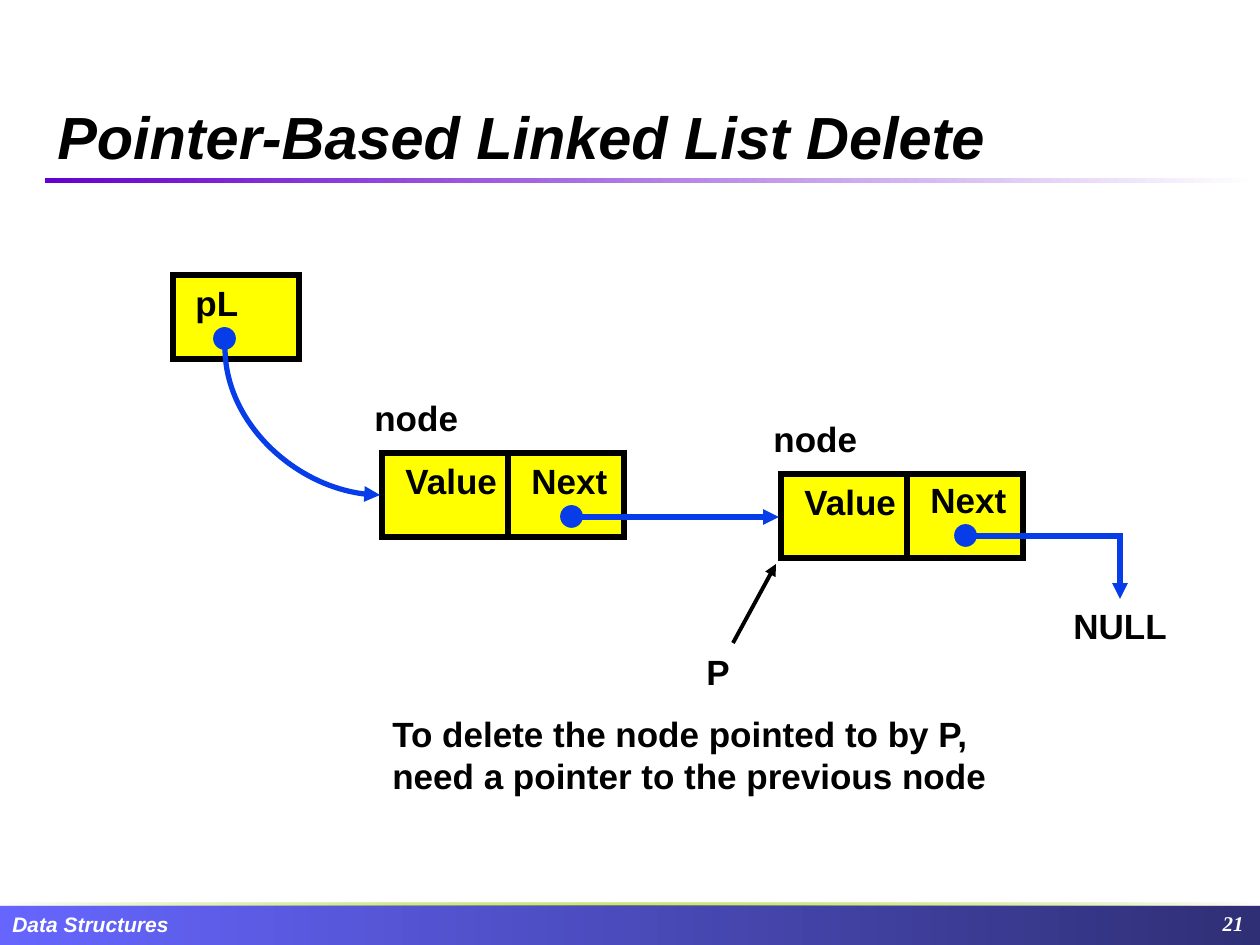
from copy import deepcopy
from dataclasses import dataclass

from lxml import etree
from pptx import Presentation
from pptx.dml.color import RGBColor
from pptx.enum.shapes import MSO_CONNECTOR, MSO_SHAPE
from pptx.enum.text import MSO_ANCHOR, MSO_AUTO_SIZE, PP_ALIGN
from pptx.oxml.ns import qn
from pptx.util import Emu, Pt

RECTANGLE, OVAL = MSO_SHAPE.RECTANGLE, MSO_SHAPE.OVAL
STRAIGHT, ELBOW, CURVE = MSO_CONNECTOR.STRAIGHT, MSO_CONNECTOR.ELBOW, MSO_CONNECTOR.CURVE
TOP, BOTTOM = MSO_ANCHOR.TOP, MSO_ANCHOR.BOTTOM
LEFT, RIGHT = PP_ALIGN.LEFT, PP_ALIGN.RIGHT
FIXED, GROW = MSO_AUTO_SIZE.NONE, MSO_AUTO_SIZE.SHAPE_TO_FIT_TEXT

BLACK = RGBColor(0x00, 0x00, 0x00)
WHITE = RGBColor(0xFF, 0xFF, 0xFF)
YELLOW = RGBColor(0xFF, 0xFF, 0x00)
BLUE = RGBColor(0x06, 0x3D, 0xE8)
PURPLE = RGBColor(0x66, 0x00, 0xCC)
LIME = RGBColor(0x99, 0xCC, 0x00)
PERIWINKLE = RGBColor(0x66, 0x66, 0xFF)
NAVY = RGBColor(0x2F, 0x2F, 0x76)

EMU_PER_PX = 914400 / 126
CELL_HEIGHT, VALUE_WIDTH, NEXT_WIDTH = 84, 126, 116
DOT_SIZE = 21
LABEL_HEIGHT = 55

LABEL_FORMAT = {"name": "Arial", "size": Pt(20), "bold": True}
TITLE_FORMAT = {"name": "Arial", "size": Pt(34), "bold": True, "italic": True}
FOOTER_FORMAT = TITLE_FORMAT | {"size": Pt(12)}
NUMBER_FORMAT = FOOTER_FORMAT | {"name": "Times New Roman"}


@dataclass(frozen=True)
class Box:
    left: int
    top: int
    width: int
    height: int

    def emu(self) -> list[Emu]:
        return [px(value) for value in (self.left, self.top, self.width, self.height)]


@dataclass(frozen=True)
class Node:
    left: int
    top: int
    next_rise: int
    dot_left: int
    dot_top: int


@dataclass(frozen=True)
class Label:
    text: str
    left: int
    top: int
    width: int
    height: int = LABEL_HEIGHT


NODES = [Node(781, 474, 2, 955, 525), Node(382, 453, 0, 561, 506)]
LABELS = [
    Label("pL", 183, 275, 68),
    Label("P", 694, 644, 48),
    Label("NULL", 1061, 598, 119),
    Label("To delete the node pointed to by P,\nneed a pointer to the previous node",
          380, 706, 620, 97),
]


def px(value: int) -> Emu:
    return Emu(round(value * EMU_PER_PX))


def add_shape(slide, kind, box: Box):
    shape = slide.shapes.add_shape(kind, *box.emu())
    shape.shadow.inherit = False
    return shape


def set_line(shape, color: RGBColor, weight: float):
    shape.line.color.rgb = color
    shape.line.width = Pt(weight)
    line = shape._element.spPr.find(qn("a:ln"))
    etree.SubElement(line, qn("a:miter"), lim="800000")
    return line


def add_solid(slide, kind, box: Box, fill: RGBColor, line: RGBColor, weight: float) -> None:
    shape = add_shape(slide, kind, box)
    shape.fill.solid()
    shape.fill.fore_color.rgb = fill
    set_line(shape, line, weight)


def add_gradient(slide, box: Box, colors: list[RGBColor]):
    shape = add_shape(slide, RECTANGLE, box)
    shape.line.fill.background()
    shape.fill.gradient()
    shape.fill.gradient_angle = 0
    stop_list = shape._element.spPr.find(".//" + qn("a:gsLst"))
    for _ in colors[2:]:
        stop_list.append(deepcopy(stop_list[0]))
    for index, (stop, color) in enumerate(zip(shape.fill.gradient_stops, colors)):
        stop.color.rgb = color
        stop.position = index / (len(colors) - 1)
    return stop_list


def add_text(slide, box: Box, text: str, text_format: dict, color: RGBColor = BLACK,
             wrap: bool = True, anchor=TOP, align=LEFT, auto_size=FIXED) -> None:
    frame = slide.shapes.add_textbox(*box.emu()).text_frame
    frame.word_wrap = wrap
    frame.auto_size = auto_size
    frame.vertical_anchor = anchor
    frame.text = text
    for paragraph in frame.paragraphs:
        paragraph.alignment = align
        for name, value in text_format.items():
            setattr(paragraph.font, name, value)
        paragraph.font.color.rgb = color


def add_label(slide, label: Label) -> None:
    box = Box(label.left, label.top, label.width, label.height)
    add_text(slide, box, label.text, LABEL_FORMAT, wrap=False, auto_size=GROW)


def add_arrow(slide, kind, start: tuple[int, int], end: tuple[int, int],
              color: RGBColor = BLUE, weight: float = 3):
    connector = slide.shapes.add_connector(kind, *map(px, start + end))
    line = set_line(connector, color, weight)
    etree.SubElement(line, qn("a:tailEnd"), type="triangle")
    properties = connector._element.spPr
    etree.SubElement(properties, qn("a:effectLst"))
    return properties


def add_cell(slide, left: int, top: int, width: int) -> None:
    add_solid(slide, RECTANGLE, Box(left, top, width, CELL_HEIGHT), YELLOW, BLACK, 3)


def add_dot(slide, left: int, top: int) -> None:
    add_solid(slide, OVAL, Box(left, top, DOT_SIZE, DOT_SIZE), BLUE, BLUE, 1)


def add_node(slide, node: Node) -> None:
    add_cell(slide, node.left, node.top, VALUE_WIDTH)
    add_cell(slide, node.left + VALUE_WIDTH, node.top, NEXT_WIDTH)
    add_label(slide, Label("Value", node.left + 11, node.top, 118))
    add_label(slide, Label("Next", node.left + 137, node.top - node.next_rise, 101))
    add_label(slide, Label("node", node.left - 20, node.top - 63, 109))
    add_dot(slide, node.dot_left, node.dot_top)


def add_frame(slide) -> None:
    add_gradient(slide, Box(0, 905, 1260, 40), [PERIWINKLE, NAVY])
    add_gradient(slide, Box(45, 178, 1215, 5), [PURPLE, WHITE])
    stops = add_gradient(slide, Box(0, 903, 1260, 3), [WHITE, LIME, WHITE])
    etree.SubElement(stops[1][0], qn("a:alpha"), val="50000")
    add_text(slide, Box(0, 905, 392, 38), "Data Structures", FOOTER_FORMAT, WHITE)
    add_text(slide, Box(45, 15, 1171, 163), "Pointer-Based Linked List Delete",
             TITLE_FORMAT, anchor=BOTTOM)
    add_text(slide, Box(933, 904, 323, 40), "21", NUMBER_FORMAT, WHITE, align=RIGHT)


def add_arrows(slide) -> None:
    add_arrow(slide, STRAIGHT, (582, 517), (779, 517))
    add_arrow(slide, STRAIGHT, (733, 643), (776, 564), BLACK, 2.25)
    curve = add_arrow(slide, CURVE, (376, 344), (229, 499))
    curve.find(qn("a:xfrm")).set("rot", str(270 * 60000))
    curve.find(qn("a:prstGeom")).set("prst", "curvedConnector2")
    elbow = add_arrow(slide, ELBOW, (976, 536), (1120, 599))
    elbow.find(qn("a:prstGeom")).set("prst", "bentConnector2")


def main() -> None:
    presentation = Presentation()
    presentation.slide_width, presentation.slide_height = px(1260), px(945)
    slide = presentation.slides.add_slide(presentation.slide_layouts[6])
    add_frame(slide)
    for node in NODES:
        add_node(slide, node)
    add_cell(slide, 173, 275, VALUE_WIDTH)
    add_dot(slide, 214, 328)
    for label in LABELS:
        add_label(slide, label)
    add_arrows(slide)
    presentation.save("out.pptx")


if __name__ == "__main__":
    main()
